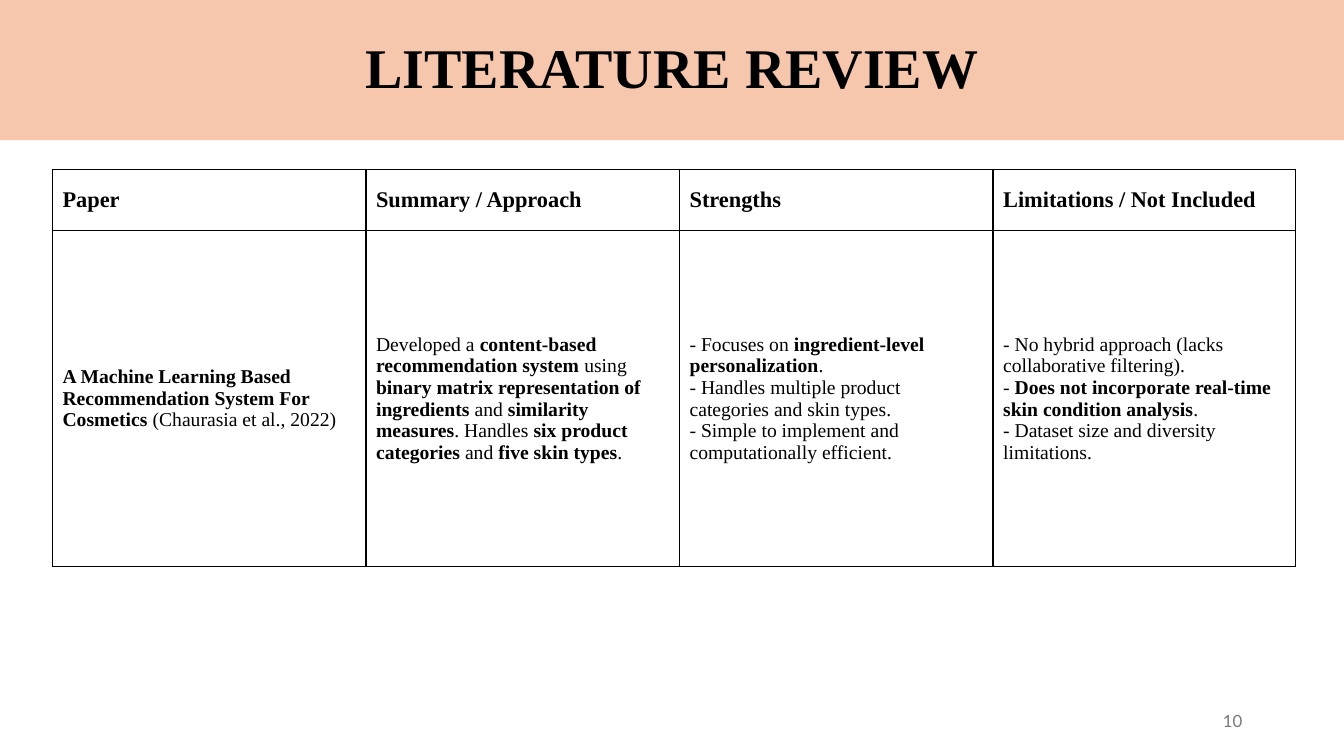
import lxml.etree
import pptx
import pptx.dml.color
import pptx.enum.text
import pptx.oxml
import pptx.oxml.ns
import pptx.util

Inches = pptx.util.Inches
ALIGN = pptx.enum.text.PP_ALIGN
MIDDLE = pptx.enum.text.MSO_ANCHOR.MIDDLE
BLACK, PEACH, GREY = "000000", "F6C6AD", "797979"
SERIF = "Times New Roman"

# Double asterisks switch bold on and off; a newline is a line break
HEADINGS = ["Paper", "Summary / Approach", "Strengths", "Limitations / Not Included"]
REVIEW = [
    "**A Machine Learning Based Recommendation System For Cosmetics** "
    "(Chaurasia et al., 2022)",
    "Developed a **content-based recommendation system** using "
    "**binary matrix representation of ingredients** and **similarity measures**. "
    "Handles **six product categories** and **five skin types**.",
    "- Focuses on **ingredient-level personalization**.\n"
    "- Handles multiple product categories and skin types.\n"
    "- Simple to implement and computationally efficient.",
    "- No hybrid approach (lacks collaborative filtering).\n"
    "- **Does not incorporate real-time skin condition analysis**.\n"
    "- Dataset size and diversity limitations.",
]
COLUMN_WIDTHS = [3.11, 3.11, 3.11, 3]
ROW_HEIGHTS = [0.61, 3.33]


def color(hex_string):
    return pptx.dml.color.RGBColor.from_string(hex_string)


def format_font(font, hex_color, **values):
    for name, value in values.items():
        setattr(font, name, value)
    font.color.rgb = color(hex_color)


def write_rich_text(paragraph, text, size):
    for line_index, line in enumerate(text.split("\n")):
        if line_index:
            paragraph.add_line_break()
        for index, part in enumerate(line.split("**")):
            if part:
                run = paragraph.add_run()
                run.text = part
                format_font(run.font, BLACK, name=SERIF,
                            size=pptx.util.Pt(size), bold=index % 2 == 1)


def add_borders(cell, hex_color, width):
    properties = cell._tc.get_or_add_tcPr()
    for side in ("lnL", "lnR", "lnT", "lnB"):
        properties.append(pptx.oxml.parse_xml(
            f'<a:{side} {pptx.oxml.ns.nsdecls("a")} w="{pptx.util.Pt(width)}">'
            f'<a:solidFill><a:srgbClr val="{hex_color}"/></a:solidFill></a:{side}>'))


def format_title(title, text):
    title.left, title.top = Inches(0), Inches(0)
    title.width, title.height = Inches(13.33), Inches(1.39)
    title.fill.solid()
    title.fill.fore_color.rgb = color(PEACH)
    frame = title.text_frame
    frame.text = text
    frame.auto_size = pptx.enum.text.MSO_AUTO_SIZE.NONE
    frame.vertical_anchor = MIDDLE
    paragraph = frame.paragraphs[0]
    paragraph.alignment = ALIGN.CENTER
    paragraph.line_spacing = 0.9
    format_font(paragraph.runs[0].font, BLACK, name=SERIF,
                size=pptx.util.Pt(40), bold=True)


def add_review_table(slide, rows, sizes):
    table = slide.shapes.add_table(
        len(rows), len(COLUMN_WIDTHS), Inches(0.52), Inches(1.68),
        Inches(sum(COLUMN_WIDTHS)), Inches(sum(ROW_HEIGHTS))).table
    table.horz_banding = False
    for column, width in zip(table.columns, COLUMN_WIDTHS):
        column.width = Inches(width)
    for row, height, texts, size in zip(table.rows, ROW_HEIGHTS, rows, sizes):
        row.height = Inches(height)
        for cell, text in zip(row.cells, texts):
            add_borders(cell, BLACK, 1)
            cell.fill.background()
            cell.vertical_anchor = MIDDLE
            write_rich_text(cell.text_frame.paragraphs[0], text, size)


def add_page_number(slide, number):
    box = slide.shapes.add_textbox(Inches(9.42), Inches(6.95), Inches(3), Inches(0.4))
    frame = box.text_frame
    frame.word_wrap = True
    frame.vertical_anchor = MIDDLE
    frame.text = number
    paragraph = frame.paragraphs[0]
    paragraph.alignment = ALIGN.RIGHT
    format_font(paragraph.runs[0].font, GREY, name="Lato", size=pptx.util.Pt(12))


def main():
    presentation = pptx.Presentation()
    presentation.slide_width = Inches(13.33)
    presentation.slide_height = Inches(7.5)
    slide = presentation.slides.add_slide(presentation.slide_layouts[5])

    # Title band
    format_title(slide.shapes.title, "LITERATURE REVIEW")

    # Review table: bold headings above one paper
    headings = [f"**{heading}**" for heading in HEADINGS]
    add_review_table(slide, [headings, REVIEW], [16, 14])

    # Footer
    add_page_number(slide, "10")
    presentation.save("out.pptx")


if __name__ == "__main__":
    main()
